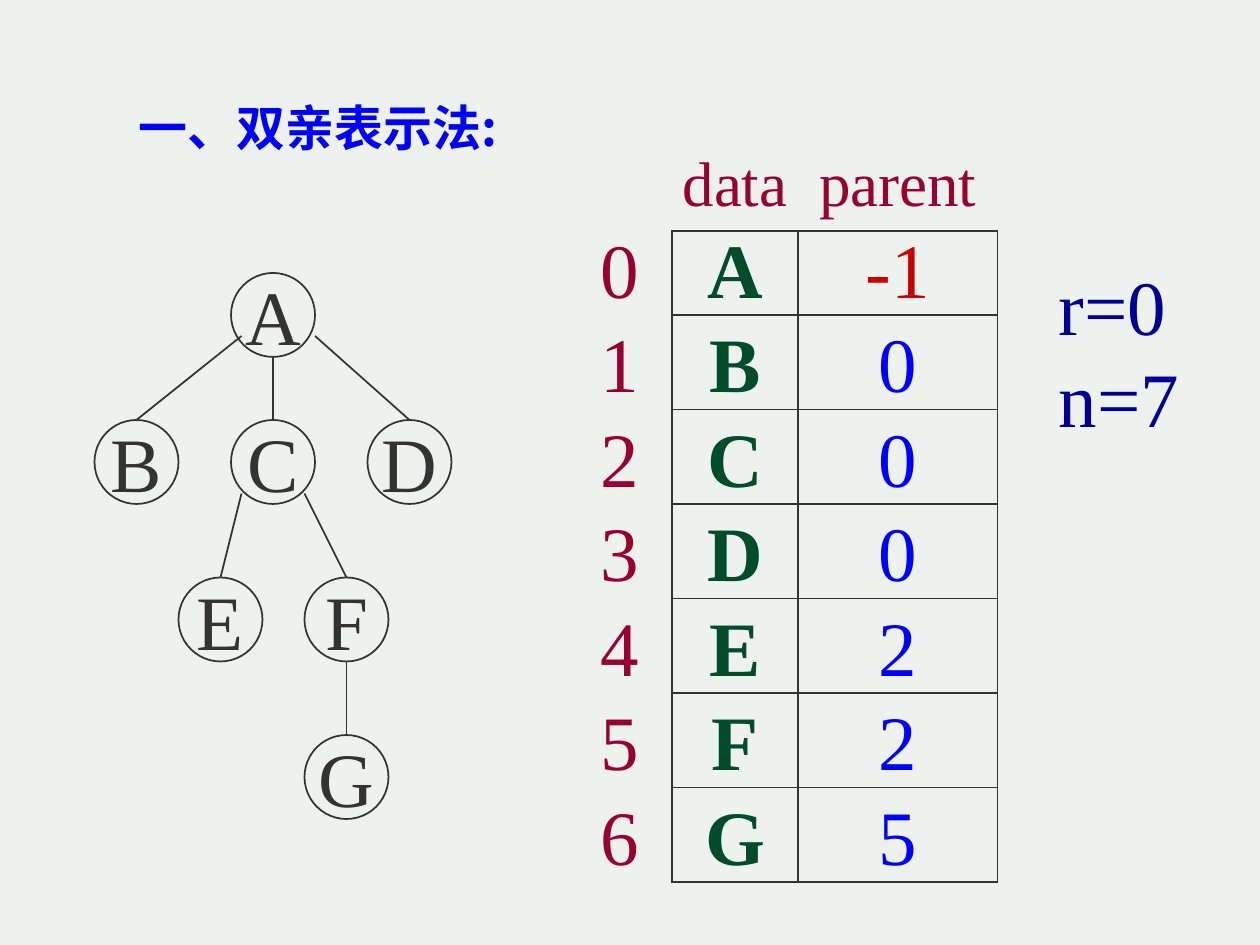
from lxml import etree
from pptx import Presentation
from pptx.dml.color import RGBColor
from pptx.enum import shapes, text
from pptx.oxml.ns import qn
from pptx.util import Pt

LATIN = "Times New Roman"
CHINESE = "Noto Sans CJK SC"
INK = "333333"
MAROON = "990033"
GREEN = "004C2B"
RED = "CC0000"
BLUE = "0000FF"
NAVY = "000099"

NODES = {"A": (132, 26), "B": (54, 110), "C": (132, 110), "D": (210, 110),
         "E": (102, 200), "F": (174, 200), "G": (174, 290)}
EDGES = {"B": ("A", -18, 12), "C": ("A", 0, 24), "D": ("A", 24, 12),
         "E": ("C", -18, 18), "F": ("C", 18, 18), "G": ("F", 0, 24)}
PARENTS = {"A": -1, "B": 0, "C": 0, "D": 0, "E": 2, "F": 2, "G": 5}


def color(value):
    return RGBColor.from_string(value)


def set_font(paragraph, size, value, bold=False, name=LATIN):
    font = paragraph.font
    font.name, font.size, font.bold = name, Pt(size), bold
    font.color.rgb = color(value)


def set_margins(frame, left=0):
    frame.margin_left = Pt(left)
    frame.margin_right = frame.margin_top = frame.margin_bottom = 0


def add_title(slide, left, top, width, height):
    title = slide.shapes.title
    title.left, title.top, title.width, title.height = map(Pt, (left, top, width, height))
    frame = title.text_frame
    frame.text = "一、双亲表示法:"
    frame.word_wrap = False
    frame.auto_size = text.MSO_AUTO_SIZE.NONE
    frame.vertical_anchor = text.MSO_ANCHOR.MIDDLE
    paragraph = frame.paragraphs[0]
    paragraph.alignment = text.PP_ALIGN.LEFT
    set_font(paragraph, 28, BLUE, True, CHINESE)
    run_properties = paragraph.runs[0].font._element
    etree.SubElement(run_properties, qn("a:ea"), typeface=CHINESE)


def add_tree(slide, left, top, diameter=48):
    radius = diameter / 2
    for child, (parent, dx, dy) in EDGES.items():
        parent_x, parent_y = NODES[parent]
        child_x, child_y = NODES[child]
        edge = slide.shapes.add_connector(
            shapes.MSO_CONNECTOR.STRAIGHT,
            Pt(left + parent_x + dx), Pt(top + parent_y + dy),
            Pt(left + child_x), Pt(top + child_y - radius))
        edge.line.color.rgb = color(INK)
        edge.line.width = Pt(1)
        etree.SubElement(edge._element.spPr, qn("a:effectLst"))
    for letter, (x, y) in NODES.items():
        node = slide.shapes.add_shape(
            shapes.MSO_SHAPE.OVAL, Pt(left + x - radius), Pt(top + y - radius),
            Pt(diameter), Pt(diameter))
        node.shadow.inherit = False
        node.fill.background()
        node.line.color.rgb = color(INK)
        node.line.width = Pt(1)
        frame = node.text_frame
        frame.text = letter
        frame.word_wrap = False
        frame.vertical_anchor = text.MSO_ANCHOR.MIDDLE
        set_margins(frame)
        frame.paragraphs[0].alignment = text.PP_ALIGN.CENTER
        set_font(frame.paragraphs[0], 44, INK)


def set_borders(cell, row, column):
    def in_body(row, column):
        return 1 <= row <= len(PARENTS) and 1 <= column <= 2

    sides = {"a:lnL": (0, -1), "a:lnR": (0, 1), "a:lnT": (-1, 0), "a:lnB": (1, 0)}
    properties = cell._tc.get_or_add_tcPr()
    for index, (tag, (down, across)) in enumerate(sides.items()):
        line = etree.Element(qn(tag), w=str(Pt(1)))
        if in_body(row, column) or in_body(row + down, column + across):
            fill = etree.SubElement(line, qn("a:solidFill"))
            etree.SubElement(fill, qn("a:srgbClr"), val=INK)
        else:
            etree.SubElement(line, qn("a:noFill"))
        properties.insert(index, line)


def add_parent_table(slide, left, top, widths, heights):
    table = slide.shapes.add_table(
        len(heights), len(widths), Pt(left), Pt(top),
        Pt(sum(widths)), Pt(sum(heights))).table
    table.first_row = table.horz_banding = False
    for column, width in zip(table.columns, widths):
        column.width = Pt(width)
    for row, height in zip(table.rows, heights):
        row.height = Pt(height)
    records = [("", "data", "parent")]
    records += [(index, *record) for index, record in enumerate(PARENTS.items())]
    for row, record in enumerate(records):
        for column, value in enumerate(record):
            cell = table.cell(row, column)
            cell.text = str(value)
            cell.fill.background()
            set_margins(cell, 7 if column == 0 else 0)
            set_borders(cell, row, column)
            paragraph = cell.text_frame.paragraphs[0]
            paragraph.alignment = text.PP_ALIGN.LEFT if column == 0 else text.PP_ALIGN.CENTER
            if row == 0:
                cell.vertical_anchor = text.MSO_ANCHOR.TOP
                paragraph.line_spacing = Pt(42)
                set_font(paragraph, 36, MAROON)
            else:
                cell.vertical_anchor = text.MSO_ANCHOR.BOTTOM
                paragraph.line_spacing = Pt(48)
                value_color = (MAROON, GREEN, RED if value == -1 else BLUE)[column]
                set_font(paragraph, 44, value_color, column == 1)


def add_root_and_count(slide, left, top, width, height):
    frame = slide.shapes.add_textbox(Pt(left), Pt(top), Pt(width), Pt(height)).text_frame
    frame.word_wrap = False
    frame.text = "r=0\nn=7"
    for paragraph in frame.paragraphs:
        set_font(paragraph, 44, NAVY)


def main():
    presentation = Presentation()
    presentation.slide_width, presentation.slide_height = Pt(720), Pt(540)
    slide = presentation.slides.add_slide(presentation.slide_layouts.get_by_name("Title Only"))
    slide.background.fill.solid()
    slide.background.fill.fore_color.rgb = color("EEF2EE")
    add_title(slide, 72, 52, 225, 41)
    add_tree(slide, 24, 154)
    add_parent_table(slide, 336, 84, [48, 72, 114], [48, 48] + [54] * 6)
    add_root_and_count(slide, 598, 144, 84, 113)
    presentation.save("out.pptx")


if __name__ == "__main__":
    main()
